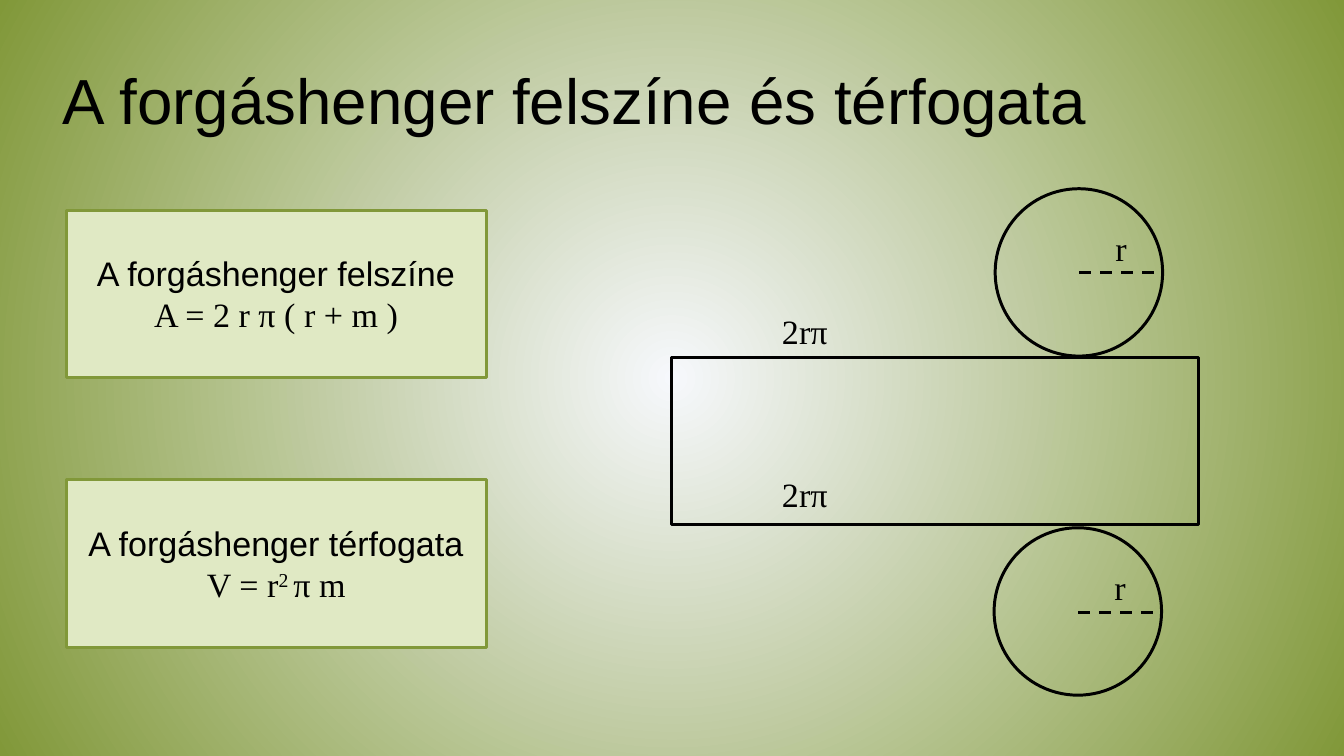
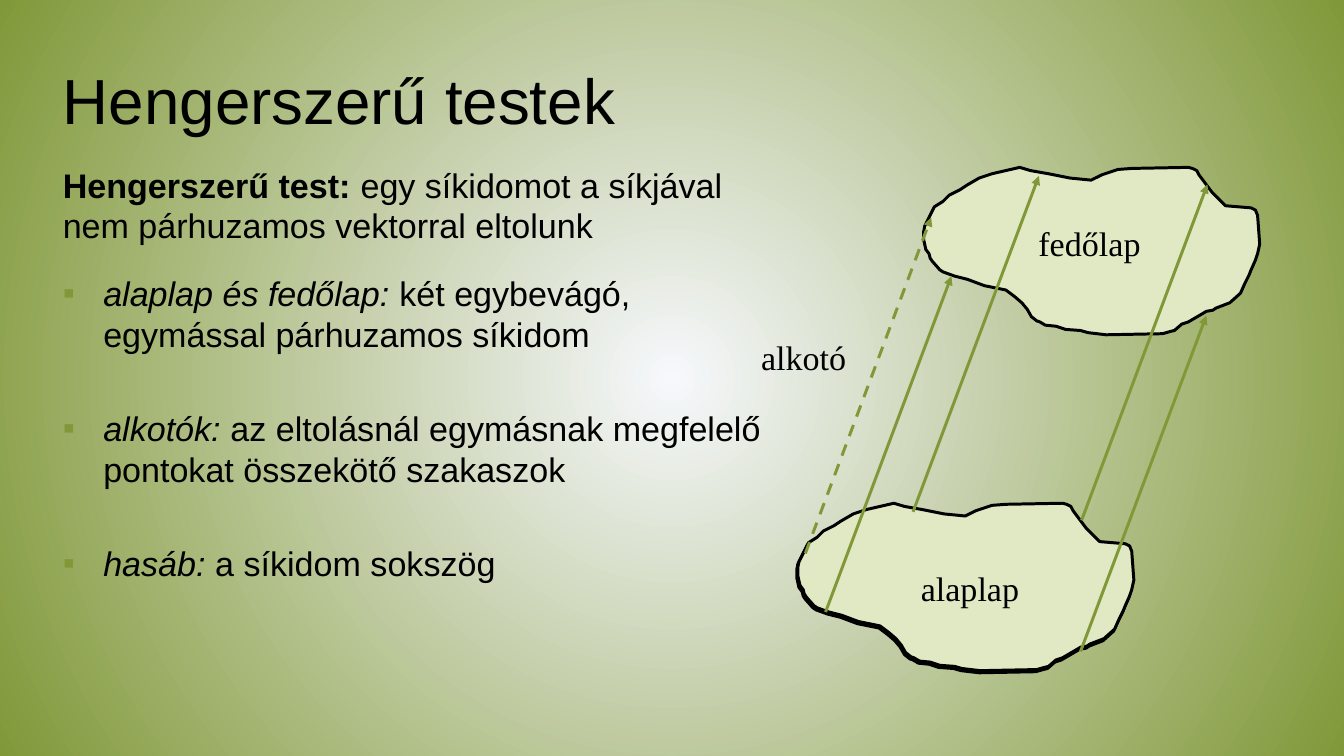
from lxml.etree import SubElement
from pptx import Presentation
from pptx.dml.color import RGBColor
from pptx.enum.dml import MSO_LINE as Dash
from pptx.enum.shapes import MSO_CONNECTOR as Link, MSO_SHAPE as Kind
from pptx.enum.text import MSO_ANCHOR as Anchor, MSO_AUTO_SIZE as Fit, PP_ALIGN as Align
from pptx.oxml.ns import qn
from pptx.util import Inches, Pt

hue = RGBColor.from_string
BLACK, GREEN, PALE, MIST = "000000", "819839", "E0E9C4", "F6F8FC"
SANS, SERIF = "Arial", "Times New Roman"


def say(para, text, face=SANS, size=23):
    font = para.add_run().font
    para.runs[-1].text = text
    font.name, font.size = face, Pt(size)
    font.color.rgb = hue(BLACK)
    return font


def trim(item, tint, fill=None):
    item.line.color.rgb = hue(tint)
    item.line.width = Pt(2)
    if fill:
        item.fill.solid()
        item.fill.fore_color.rgb = hue(fill)
    elif hasattr(item, "fill"):
        item.fill.background()
    SubElement(item._element.spPr, qn("a:effectLst"))


deck = Presentation()
deck.slide_width, deck.slide_height = Inches(12.6), Inches(7.09)

master = deck.slide_master
back = master.background.fill
back.gradient()
for stop, tint in zip(back.gradient_stops, (MIST, GREEN)):
    stop.color.rgb = hue(tint)
grad = master.element.xpath("p:cSld/p:bg//a:gradFill")[0]
for lin in grad.findall(qn("a:lin")):
    grad.remove(lin)
glow = SubElement(grad, qn("a:path"), path="circle")
SubElement(glow, qn("a:fillToRect"), {side: "50000" for side in "ltrb"})

pages = []
for name in ("A forgáshenger felszíne és térfogata", "Hengerszerű testek"):
    page = deck.slides.add_slide(deck.slide_layouts[5])
    title = page.shapes.title
    title.left, title.top = Inches(0.49), Inches(0.15)
    title.width, title.height = Inches(11.93), Inches(1.65)
    frame = title.text_frame
    frame.word_wrap, frame.auto_size = True, Fit.NONE
    frame.vertical_anchor = Anchor.MIDDLE
    para = frame.paragraphs[0]
    para.alignment, para.line_spacing = Align.LEFT, 0.9
    say(para, name, size=43)
    pages.append(page)
net, solid = pages

cards = [
    (1.97, "A forgáshenger felszíne", [("A = 2 r π ( r + m )", False)]),
    (4.5, "A forgáshenger térfogata", [("V = r", False), ("2 ", True), ("π m", False)]),
]
for top, head, parts in cards:
    card = net.shapes.add_shape(
        Kind.RECTANGLE, Inches(0.62), Inches(top), Inches(3.94), Inches(1.57))
    trim(card, GREEN, PALE)
    frame = card.text_frame
    frame.vertical_anchor = Anchor.MIDDLE
    first, second = frame.paragraphs[0], frame.add_paragraph()
    first.alignment = second.alignment = Align.CENTER
    say(first, head)
    for text, high in parts:
        font = say(second, text, SERIF)
        if high:
            font._element.set("baseline", "30000")

figures = [
    (Kind.RECTANGLE, 6.3, 3.35, 4.94),
    (Kind.OVAL, 9.33, 1.77, 1.57),
    (Kind.OVAL, 9.32, 4.95, 1.57),
]
for kind, left, top, width in figures:
    trim(net.shapes.add_shape(
        kind, Inches(left), Inches(top), Inches(width), Inches(1.57)), BLACK)

box = solid.shapes.add_textbox(Inches(0.49), Inches(1.49), Inches(6.82), Inches(4.07))
frame = box.text_frame
frame.word_wrap, frame.auto_size = True, Fit.SHAPE_TO_FIT_TEXT
para = frame.paragraphs[0]
say(para, "Hengerszerű test: ").bold = True
say(para, "egy síkidomot a síkjával nem párhuzamos vektorral eltolunk")
terms = [
    ("alaplap és fedőlap: ", "két egybevágó, egymással párhuzamos síkidom"),
    ("alkotók:", " az eltolásnál egymásnak megfelelő pontokat összekötő szakaszok"),
    ("hasáb:", " a síkidom sokszög"),
]
for term, text in terms:
    para = frame.add_paragraph()
    para.space_before = para.space_after = Pt(18)
    props = para._p.get_or_add_pPr()
    props.set("marL", str(Inches(0.38)))
    props.set("indent", str(-Inches(0.38)))
    color = SubElement(props, qn("a:buClr"))
    SubElement(color, qn("a:srgbClr"), val=GREEN)
    SubElement(props, qn("a:buFont"), typeface=SANS)
    SubElement(props, qn("a:buChar"), char="▪")
    say(para, term).italic = True
    say(para, text)

rim = [
    (90, 0), (64, 6), (52, 10), (40, 17), (34, 21), (24, 26), (18, 32), (10, 37),
    (7, 43), (1, 55), (0, 60), (0, 68), (2, 77), (5, 81), (6, 85), (8, 88),
    (15, 96), (18, 98), (29, 102), (41, 105), (57, 111), (77, 115), (85, 121),
    (92, 127), (97, 133), (101, 140), (106, 144), (109, 145), (114, 148),
    (124, 149), (133, 152), (147, 153), (154, 155), (171, 157), (224, 156),
    (231, 154), (235, 153), (242, 147), (248, 145), (260, 138), (265, 135),
    (271, 134), (274, 132), (287, 127), (297, 118), (301, 109), (305, 101),
    (307, 96), (311, 87), (313, 81), (315, 72), (313, 45), (311, 40), (307, 38),
    (283, 36), (270, 23), (258, 7), (256, 3), (252, 1), (248, 0), (195, 1),
    (182, 2), (167, 7), (157, 12), (137, 10), (117, 6), (100, 3),
]
for left, top in [(7.47, 4.74), (7.48, 4.72), (8.66, 1.57)]:
    form = solid.shapes.build_freeform(*rim[0], scale=Inches(0.01))
    form.add_line_segments(rim[1:], close=True)
    trim(form.convert_to_shape(Inches(left), Inches(top)), BLACK, PALE)

rays = [
    (net, 10.12, 2.56, 0.79, 0, BLACK, True),
    (net, 10.11, 5.74, 0.79, 0, BLACK, True),
]
starts = [(7.74, 5.74), (8.56, 4.8), (10.13, 6.11), (10.14, 4.88), (7.55, 5.19)]
for x, y in starts:
    rays.append((solid, x, y, 1.18, -3.15, GREEN, x == 7.55))
for page, x, y, run, rise, tint, dash in rays:
    ray = page.shapes.add_connector(
        Link.STRAIGHT, Inches(x), Inches(y), Inches(x + run), Inches(y + rise))
    trim(ray, tint)
    if dash:
        ray.line.dash_style = Dash.DASH
    if page is solid:
        SubElement(ray.line._get_or_add_ln(), qn("a:tailEnd"), type="triangle")

labels = [
    (net, 7.05, 2.86, 0.99, "2rπ"),
    (net, 7.05, 4.39, 0.99, "2rπ"),
    (net, 10.34, 2.08, 0.34, "r"),
    (net, 10.33, 5.26, 0.34, "r"),
    (solid, 6.6, 3.11, 1.87, "alkotó"),
    (solid, 9.28, 2.04, 1.87, "fedőlap"),
    (solid, 8.16, 5.27, 1.87, "alaplap"),
]
for page, left, top, width, text in labels:
    box = page.shapes.add_textbox(Inches(left), Inches(top), Inches(width), Inches(0.49))
    frame = box.text_frame
    frame.word_wrap, frame.auto_size = True, Fit.SHAPE_TO_FIT_TEXT
    para = frame.paragraphs[0]
    para.alignment = Align.CENTER
    say(para, text, SERIF)

deck.save("out.pptx")
